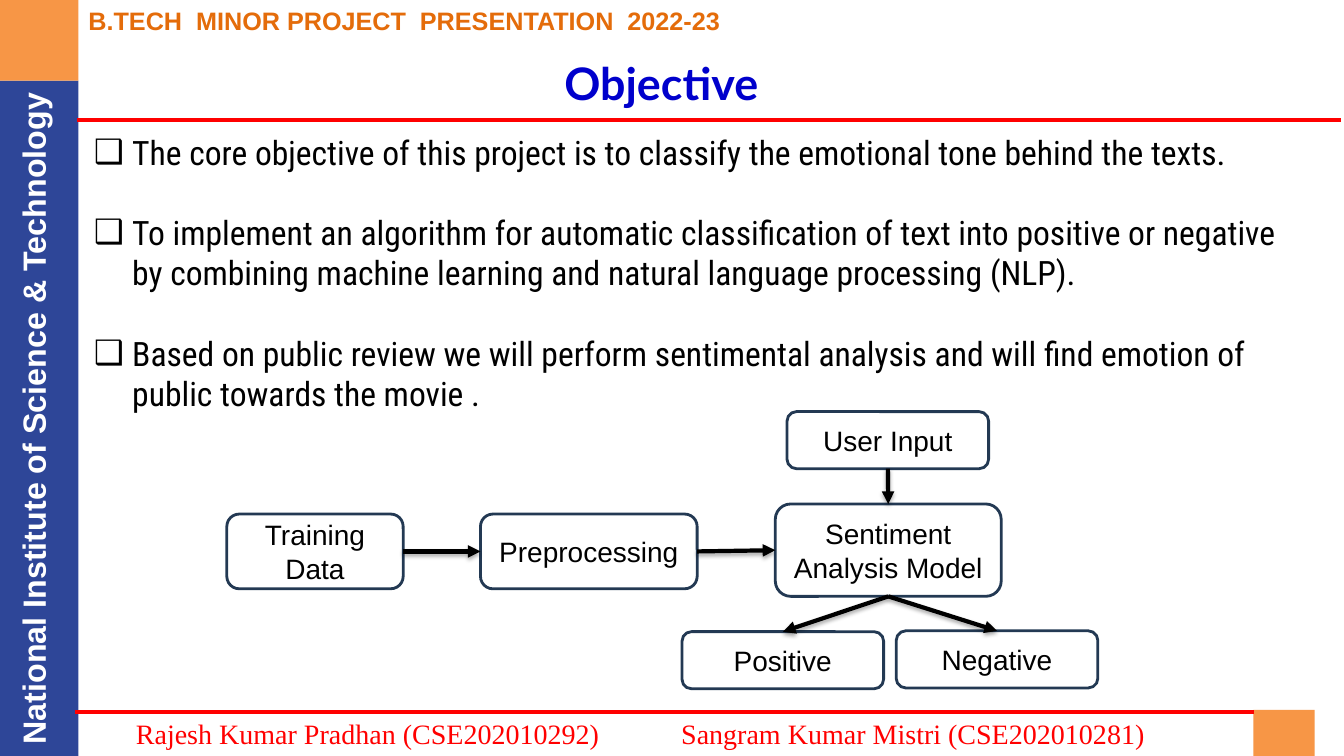
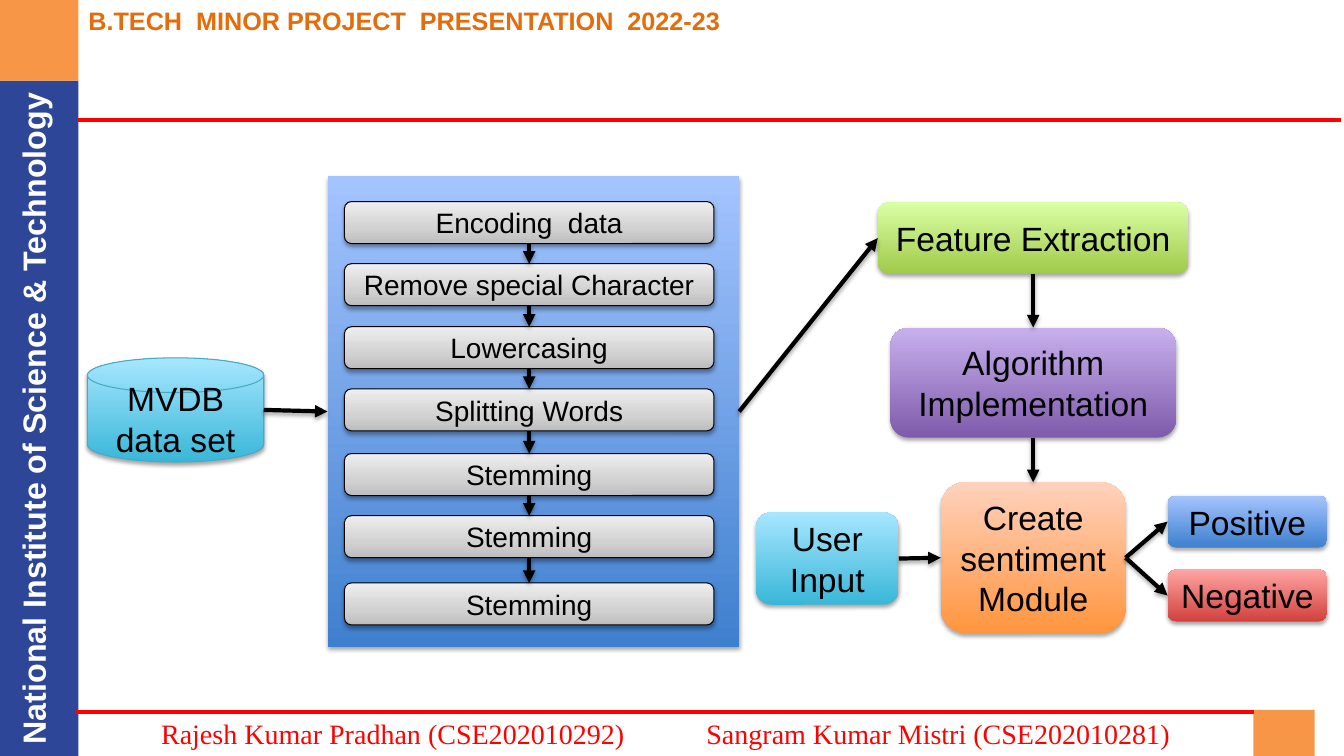
from copy import deepcopy
from dataclasses import dataclass
from itertools import pairwise
from typing import Any, Optional

from lxml import etree
from pptx import Presentation
from pptx import util as u
from pptx.dml.color import RGBColor
from pptx.enum import shapes, text
from pptx.oxml.ns import qn

COLUMNS, ROWS = 160, 90
CELL = u.Inches(1 / 12)
BLACK, RED, ORANGE, NAVY, TITLE_BLUE = "000000", "FF0000", "F79646", "2E4698", "0000CC"
OUTLINE, DISK_LINE, HEADING_ORANGE, WHITE = "233953", "46AAC5", "E46C0A", "FFFFFF"
BLUE_FADE = ((0, "3F80CE"), (1, "A4C4FF"))
GREY_FADE = ((0, "BDBDBD"), (0.35, "D1D1D1"), (1, "EEEEEE"))
GREEN_FADE = ((0, "A0CA4A"), (1, "DAFFA5"))
PURPLE_FADE = ((0, "7F5BAB"), (1, "C8B0ED"))
CYAN_FADE = ((0, "39B7D8"), (1, "A7E6FF"))
ORANGE_FADE = ((0, "FF953E"), (1, "FFD2BD"))
RED_FADE = ((0, "D1403C"), (1, "FFA6A5"))
RECTANGLE = shapes.MSO_SHAPE.RECTANGLE
ROUNDED = shapes.MSO_SHAPE.ROUNDED_RECTANGLE
DISK = shapes.MSO_SHAPE.FLOWCHART_MAGNETIC_DISK
SIDES = {"top": (0.5, 0), "left": (0, 0.5), "bottom": (0.5, 1), "right": (1, 0.5)}


@dataclass(frozen=True)
class Box:
    column: float
    row: float
    columns: float
    rows: float

    def side(self, name: str) -> tuple[float, float]:
        across, down = SIDES[name]
        return self.column + across * self.columns, self.row + down * self.rows


@dataclass(frozen=True)
class Node:
    label: str
    box: Box
    fade: tuple = ()
    line: Optional[str] = None
    width: float = 0.75
    size: float = 24
    preset: Any = ROUNDED


@dataclass(frozen=True)
class Link:
    start: Node
    leave: str
    end: Node
    enter: str


def grid(amount: float) -> int:
    return round(amount * CELL)


def place(box: Box) -> tuple[int, int, int, int]:
    return grid(box.column), grid(box.row), grid(box.columns), grid(box.rows)


def color(value: str) -> RGBColor:
    return RGBColor.from_string(value)


def child(parent: Any, tag: str, **attributes: Any) -> Any:
    values = {name: str(value) for name, value in attributes.items()}
    return etree.SubElement(parent, qn(tag), values)


def add_shadow(properties: Any) -> None:
    effects = properties.get_or_add_effectLst() if hasattr(properties, "get_or_add_effectLst") else None
    if effects is None:
        effects = child(properties, "a:effectLst")
    shadow = child(effects, "a:outerShdw", blurRad=u.Pt(3.1), dist=u.Pt(1.8),
                   dir=5400000, rotWithShape=0)
    child(child(shadow, "a:srgbClr", val=BLACK), "a:alpha", val=35000)


def write(shape: Any, *lines: str, font: str = "Arial", size: float = 20, ink: str = BLACK,
          bold: bool = False, centered: bool = False, middle: bool = False,
          wrap: bool = True, inset: float = 0.1, after: float = 0,
          bullet: str = "", tabs: tuple = ()) -> None:
    frame = shape.text_frame
    frame.word_wrap = wrap
    frame.margin_left = frame.margin_right = u.Inches(inset)
    frame.vertical_anchor = text.MSO_ANCHOR.MIDDLE if middle else text.MSO_ANCHOR.TOP
    for index, line in enumerate(lines):
        paragraph = frame.add_paragraph() if index else frame.paragraphs[0]
        paragraph.alignment = text.PP_ALIGN.CENTER if centered else text.PP_ALIGN.LEFT
        paragraph.space_after = u.Pt(after)
        run = paragraph.add_run()
        run.text = line
        run.font.name, run.font.size, run.font.bold = font, u.Pt(size), bold
        run.font.color.rgb = color(ink)
        properties = paragraph._p.get_or_add_pPr()
        if bullet:
            indent = u.Inches(0.38)
            properties.set("marL", str(indent))
            properties.set("indent", str(-indent))
            child(child(properties, "a:buClr"), "a:srgbClr", val=ink)
            child(properties, "a:buFont", typeface="Arial")
            child(properties, "a:buChar", char=bullet)
        if tabs:
            stops = child(properties, "a:tabLst")
            for stop in tabs:
                child(stops, "a:tab", pos=u.Inches(stop), algn="l")


def add_text(slide: Any, box: Box, *lines: str, **style: Any) -> Any:
    shape = slide.shapes.add_textbox(*place(box))
    write(shape, *lines, **style)
    return shape


def add_block(slide: Any, box: Box, fill: str) -> None:
    shape = slide.shapes.add_shape(RECTANGLE, *place(box))
    shape.shadow.inherit = False
    shape.fill.solid()
    shape.fill.fore_color.rgb = color(fill)
    shape.line.fill.background()


def fade_fill(shape: Any, fade: tuple) -> None:
    shape.fill.gradient()
    shape.fill.gradient_angle = 90
    stops = shape._element.spPr.find(qn("a:gradFill")).find(qn("a:gsLst"))
    for _ in fade[2:]:
        stops.append(deepcopy(stops[0]))
    for stop, (position, value) in zip(shape.fill.gradient_stops, fade):
        stop.position = position
        stop.color.rgb = color(value)


def add_node(slide: Any, node: Node) -> None:
    shape = slide.shapes.add_shape(node.preset, *place(node.box))
    shape.shadow.inherit = False
    if node.fade:
        fade_fill(shape, node.fade)
    else:
        shape.fill.background()
    if node.line:
        shape.line.color.rgb = color(node.line)
        shape.line.width = u.Pt(node.width)
    else:
        shape.line.fill.background()
    if node.fade:
        add_shadow(shape._element.spPr)
    if node.label:
        write(shape, node.label, size=node.size, centered=True, middle=True, inset=0.05)


def add_line(slide: Any, start: tuple[float, float], end: tuple[float, float],
             ink: str = BLACK, width: float = 3, arrow: bool = False) -> None:
    line = slide.shapes.add_connector(shapes.MSO_CONNECTOR.STRAIGHT,
                                      *map(grid, start), *map(grid, end))
    line.line.color.rgb = color(ink)
    line.line.width = u.Pt(width)
    properties = line._element.spPr
    if arrow:
        child(line.line._get_or_add_ln(), "a:tailEnd", type="triangle")
        add_shadow(properties)
    else:
        child(properties, "a:effectLst")


def add_flow(slide: Any, nodes: list[Node], links: list[Link]) -> None:
    for node in nodes:
        add_node(slide, node)
    for link in links:
        add_line(slide, link.start.box.side(link.leave), link.end.box.side(link.enter), arrow=True)


def add_framed_slide(presentation: Any, footer_column: float) -> Any:
    slide = presentation.slides.add_slide(presentation.slide_layouts[6])
    add_block(slide, Box(149.2, 84.5, 7.3, 5.5), ORANGE)
    add_block(slide, Box(0, 9.6, 9.35, 80.4), NAVY)
    institute = add_text(slide, Box(-39.1, 46.9, 86.2, 5.9),
                         "National Institute of Science & Technology",
                         size=23, ink=WHITE, bold=True, centered=True)
    institute.rotation = 270
    add_block(slide, Box(0, 0, 9.35, 9.6), ORANGE)
    add_line(slide, (8.9, 84.8), (149.3, 84.8), RED)
    add_text(slide, Box(9.35, 0, 78.4, 4.9), "B.TECH  MINOR PROJECT  PRESENTATION  2022-23",
             size=18, ink=HEADING_ORANGE, bold=True, wrap=False)
    add_line(slide, (9.2, 14.3), (159.6, 14.3), RED, 2.75)
    add_text(slide, Box(footer_column, 84.7, 132, 5.3),
             "Rajesh Kumar Pradhan (CSE202010292)\t\tSangram Kumar Mistri (CSE202010281)",
             font="Times New Roman", ink=RED, tabs=(4.8, 5.41))
    return slide


def outlined(label: str, box: Box) -> Node:
    return Node(label, box, line=OUTLINE, width=2, size=20)


def build_objective(presentation: Any) -> None:
    slide = add_framed_slide(presentation, 15)
    add_text(slide, Box(66, 6, 39, 7.7), "Objective",
             font="Lato", size=32, ink=TITLE_BLUE, bold=True)
    add_text(slide, Box(10, 15.1, 146, 40),
             "The core objective of this project is to classify the emotional tone behind the texts.",
             "To implement an algorithm for automatic classification of text into positive or negative "
             "by combining machine learning and natural language processing (NLP).",
             "Based on public review we will perform sentimental analysis and will find emotion of "
             "public towards the movie .",
             font="Roboto Condensed", size=24, bullet="\u2751", after=28.5)
    model = outlined("Sentiment Analysis Model", Box(92.3, 60, 26.9, 11))
    training = outlined("Training Data", Box(27, 61.2, 21, 8.9))
    user = outlined("User Input", Box(93.7, 49, 24, 6.8))
    positive = outlined("Positive", Box(81.2, 75.2, 24, 6.8))
    negative = outlined("Negative", Box(106.7, 75.1, 24, 6.8))
    preprocessing = outlined("Preprocessing", Box(57.2, 61.2, 25.8, 8.9))
    add_flow(slide, [model, training, user, positive, negative, preprocessing], [
        Link(training, "right", preprocessing, "left"),
        Link(preprocessing, "right", model, "left"),
        Link(user, "bottom", model, "top"),
        Link(model, "bottom", positive, "top"),
        Link(model, "bottom", negative, "top"),
    ])


def build_pipeline(presentation: Any) -> None:
    slide = add_framed_slide(presentation, 18)
    panel = Node("", Box(39, 21, 49, 56), BLUE_FADE, preset=RECTANGLE)
    step_rows = {24: "Encoding  data", 31.4: "Remove special Character", 38.9: "Lowercasing",
                 46.3: "Splitting Words", 54: "Stemming", 61.4: "Stemming", 69.4: "Stemming"}
    steps = [Node(label, Box(41, row, 44, 5), GREY_FADE, BLACK, size=20)
             for row, label in step_rows.items()]
    features = Node("Feature Extraction", Box(104.5, 24.1, 37, 8.5), GREEN_FADE)
    algorithm = Node("Algorithm Implementation", Box(106, 39, 34, 13.1), PURPLE_FADE)
    dataset = Node("MVDB data set", Box(10.4, 42.6, 21, 12.4), CYAN_FADE, DISK_LINE, preset=DISK)
    module = Node("Create sentiment Module", Box(112, 57.4, 22, 18), ORANGE_FADE)
    user = Node("User Input", Box(90, 61, 17, 11), CYAN_FADE)
    positive = Node("Positive", Box(139, 59, 19, 6.2), BLUE_FADE)
    negative = Node("Negative", Box(139, 67.8, 19, 6.2), RED_FADE)
    nodes = [panel, *steps, features, algorithm, dataset, module, user, positive, negative]
    add_flow(slide, nodes, [
        Link(dataset, "right", panel, "left"),
        Link(panel, "right", features, "left"),
        Link(features, "bottom", algorithm, "top"),
        Link(algorithm, "bottom", module, "top"),
        Link(user, "right", module, "left"),
        Link(module, "right", positive, "left"),
        Link(module, "right", negative, "left"),
        *(Link(upper, "bottom", lower, "top") for upper, lower in pairwise(steps)),
    ])


def main() -> None:
    presentation = Presentation()
    presentation.slide_width, presentation.slide_height = COLUMNS * CELL, ROWS * CELL
    build_objective(presentation)
    build_pipeline(presentation)
    presentation.save("out.pptx")


main()
